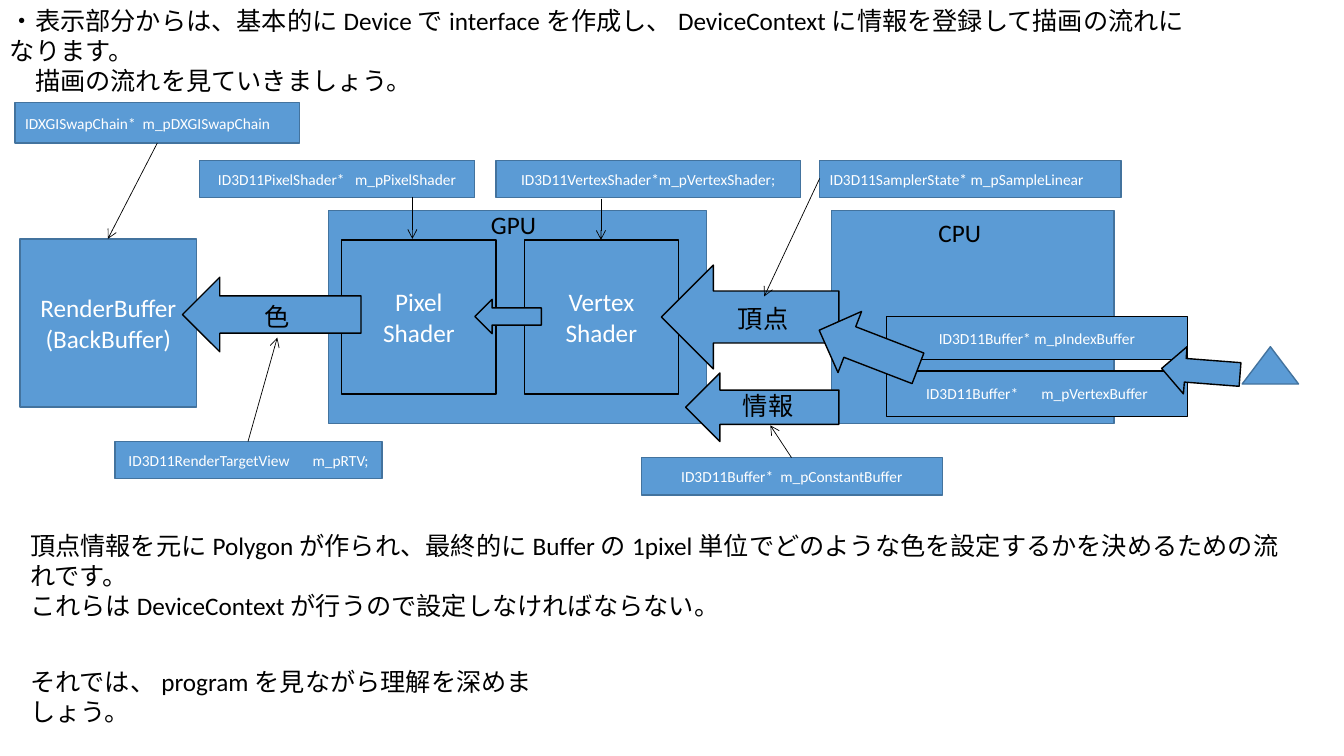
from dataclasses import dataclass
from lxml.etree import SubElement
from pptx import Presentation
from pptx.dml.color import RGBColor
from pptx.enum.shapes import MSO_CONNECTOR, MSO_SHAPE as Preset
from pptx.enum.text import MSO_ANCHOR, MSO_AUTO_SIZE, PP_ALIGN as Align
from pptx.oxml.ns import qn
from pptx.util import Inches, Pt

COLORS = {"fill": "5B9BD5", "edge": "43739E", "ink": "000000", "paper": "FFFFFF"}
FONT = "Calibri"
TITLE_SIZE, NAME_SIZE = 18, 11


@dataclass
class Block:
    left: float
    top: float
    width: float
    height: float
    text: str = ""
    size: int = NAME_SIZE
    edge: str = "edge"
    align: Align = Align.CENTER
    preset: Preset = Preset.RECTANGLE
    rotation: float = 0


@dataclass
class FlowArrow:
    left: float
    top: float
    width: float
    height: float
    rotation: float = 180
    preset: Preset = Preset.RIGHT_ARROW


@dataclass
class Pointer:
    start: tuple[float, float]
    end: tuple[float, float]


@dataclass
class Caption:
    left: float
    top: float
    width: float
    height: float
    text: str
    wrap: bool = False


def color(name: str) -> RGBColor:
    return RGBColor.from_string(COLORS[name])


def write(frame, text: str, size: int, ink: str, align: Align) -> None:
    frame.text = text
    for paragraph in frame.paragraphs:
        paragraph.alignment = align
        paragraph.font.name = FONT
        paragraph.font.size = Pt(size)
        paragraph.font.color.rgb = color(ink)


def draw_block(slide, block: Block) -> None:
    shape = slide.shapes.add_shape(
        block.preset, Inches(block.left), Inches(block.top),
        Inches(block.width), Inches(block.height))
    shape.rotation = block.rotation
    shape.shadow.inherit = False
    shape.fill.solid()
    shape.fill.fore_color.rgb = color("fill")
    shape.line.color.rgb = color(block.edge)
    shape.line.width = Pt(1)
    if block.text:
        shape.text_frame.vertical_anchor = MSO_ANCHOR.MIDDLE
        write(shape.text_frame, block.text, block.size, "paper", block.align)


def draw_arrow(slide, arrow: FlowArrow) -> None:
    draw_block(slide, Block(arrow.left, arrow.top, arrow.width, arrow.height,
                            edge="ink", preset=arrow.preset, rotation=arrow.rotation))


def draw_pointer(slide, pointer: Pointer) -> None:
    ends = [Inches(value) for value in (*pointer.start, *pointer.end)]
    connector = slide.shapes.add_connector(MSO_CONNECTOR.STRAIGHT, *ends)
    connector.line.color.rgb = color("ink")
    connector.line.width = Pt(0.5)
    SubElement(connector.line._get_or_add_ln(), qn("a:tailEnd"), type="arrow")
    SubElement(connector._element.spPr, qn("a:effectLst"))


def draw_caption(slide, caption: Caption) -> None:
    box = slide.shapes.add_textbox(
        Inches(caption.left), Inches(caption.top),
        Inches(caption.width), Inches(caption.height))
    frame = box.text_frame
    frame.word_wrap = caption.wrap
    frame.auto_size = MSO_AUTO_SIZE.SHAPE_TO_FIT_TEXT
    write(frame, caption.text, TITLE_SIZE, "ink", Align.LEFT)


STAGES = [
    Block(3.26, 2.09, 3.75, 2.11),
    Block(8.25, 2.09, 2.8, 2.11),
    Block(3.39, 2.38, 1.53, 1.53, "Pixel\nShader", TITLE_SIZE, "ink"),
    Block(5.2, 2.38, 1.53, 1.53, "Vertex\nShader", TITLE_SIZE, "ink"),
    Block(0.2, 2.37, 1.75, 1.67, "RenderBuffer\n(BackBuffer)", TITLE_SIZE),
    Block(12.32, 3.44, 0.56, 0.37, preset=Preset.ISOSCELES_TRIANGLE),
]

VARIABLES = [
    Block(1.14, 4.38, 2.65, 0.37, "ID3D11RenderTargetView\u3000m_pRTV;"),
    Block(0.15, 1.02, 2.82, 0.4, "IDXGISwapChain*  m_pDXGISwapChain", align=Align.LEFT),
    Block(8.13, 1.59, 2.99, 0.37, "ID3D11SamplerState* m_pSampleLinear", align=Align.LEFT),
    Block(4.92, 1.59, 3.02, 0.37, "ID3D11VertexShader*m_pVertexShader;"),
    Block(1.98, 1.59, 2.73, 0.37, "ID3D11PixelShader*   m_pPixelShader"),
    Block(8.79, 3.68, 2.99, 0.45, "ID3D11Buffer*\u3000m_pVertexBuffer", edge="ink"),
    Block(8.79, 3.14, 2.99, 0.43, "ID3D11Buffer* m_pIndexBuffer", edge="ink"),
    Block(6.36, 4.54, 2.99, 0.37, "ID3D11Buffer*  m_pConstantBuffer"),
]

FLOW = [
    FlowArrow(1.81, 2.75, 1.77, 0.74),
    FlowArrow(4.71, 2.97, 0.66, 0.34),
    FlowArrow(6.56, 2.63, 1.76, 1.03),
    FlowArrow(7.22, 3.28, 0.68, 1.52, 90, Preset.DOWN_ARROW),
    FlowArrow(8.09, 3.14, 1.05, 0.65, 201.1),
    FlowArrow(11.52, 3.45, 0.78, 0.47, 184.4),
]

POINTERS = [
    Pointer((1.56, 1.42), (1.07, 2.37)),
    Pointer((2.46, 4.38), (2.75, 3.35)),
    Pointer((4.09, 1.95), (4.09, 2.37)),
    Pointer((5.96, 1.97), (5.96, 2.38)),
    Pointer((8.13, 1.77), (7.58, 2.94)),
    Pointer((7.85, 4.54), (7.64, 4.22)),
]

CAPTIONS = [
    Caption(0, 0, 12.03, 0.71,
            "・表示部分からは、基本的にDeviceでinterfaceを作成し、"
            "DeviceContextに情報を登録して描画の流れになります。\n"
            "\u3000描画の流れを見ていきましょう。", True),
    Caption(4.77, 2.03, 0.65, 0.4, "GPU"),
    Caption(9.21, 2.11, 0.63, 0.4, "CPU"),
    Caption(7.22, 2.96, 0.71, 0.4, "頂点"),
    Caption(2.52, 2.94, 0.45, 0.4, "色"),
    Caption(7.27, 3.82, 0.71, 0.4, "情報"),
    Caption(0.2, 5.21, 12.67, 0.71,
            "頂点情報を元にPolygonが作られ、最終的にBufferの1pixel単位で"
            "どのような色を設定するかを決めるための流れです。\n"
            "これらはDeviceContextが行うので設定しなければならない。", True),
    Caption(0.2, 6.56, 5.53, 0.4, "それでは、programを見ながら理解を深めましょう。", True),
]

presentation = Presentation()
presentation.slide_width = Inches(13.33)
presentation.slide_height = Inches(7.5)
pipeline = presentation.slides.add_slide(presentation.slide_layouts[6])

for draw, parts in (
    (draw_block, STAGES + VARIABLES),
    (draw_arrow, FLOW),
    (draw_pointer, POINTERS),
    (draw_caption, CAPTIONS),
):
    for part in parts:
        draw(pipeline, part)

presentation.save("out.pptx")
